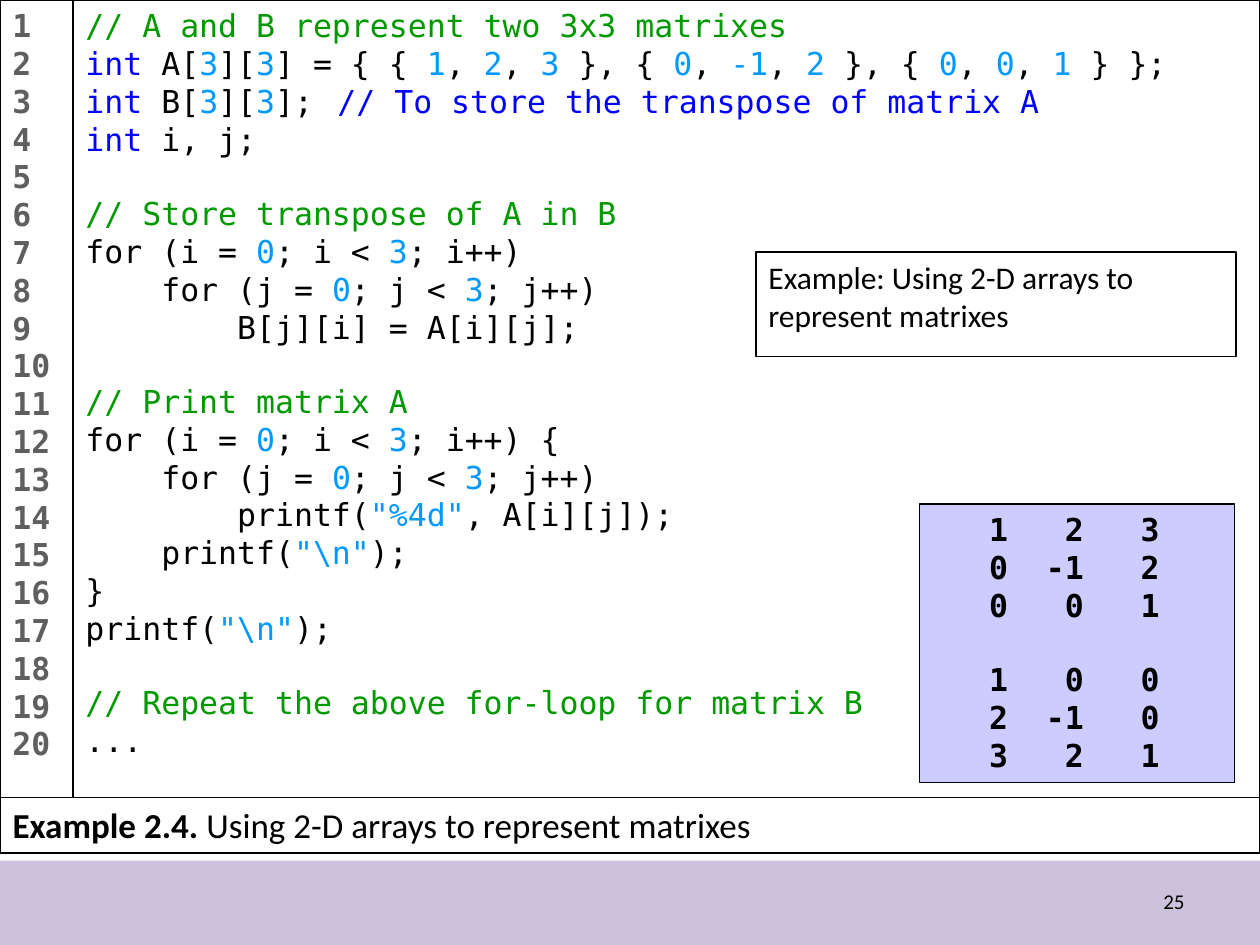
"""Build the slide that shows matrix transposition with 2-D arrays in C."""
from pptx import Presentation
from pptx.dml.color import RGBColor
from pptx.enum.shapes import MSO_SHAPE
from pptx.enum.text import MSO_ANCHOR, MSO_AUTO_SIZE, PP_ALIGN
from pptx.util import Inches, Pt

BLACK = RGBColor(0x00, 0x00, 0x00)
WHITE = RGBColor(0xFF, 0xFF, 0xFF)
GREEN = RGBColor(0x00, 0x99, 0x00)
BLUE = RGBColor(0x00, 0x00, 0xFF)
SKY = RGBColor(0x00, 0x99, 0xFF)
GRAY = RGBColor(0x5F, 0x5F, 0x5F)
LILAC = RGBColor(0xCC, 0xCC, 0xFF)
BAND = RGBColor(0xCC, 0xC1, 0xDA)
MONO = "DejaVu Sans Mono"
SANS = "Calibri"
LINE_HEIGHT = Pt(21)


def add_box(slide, left, top, width, height, fill=None, outlined=True):
    shape = slide.shapes.add_shape(
        MSO_SHAPE.RECTANGLE, Inches(left), Inches(top), Inches(width), Inches(height)
    )
    shape.shadow.inherit = False
    if fill is None:
        shape.fill.background()
    else:
        shape.fill.solid()
        shape.fill.fore_color.rgb = fill
    if outlined:
        shape.line.color.rgb = BLACK
        shape.line.width = Pt(0.75)
    else:
        shape.line.fill.background()
    shape.text_frame.word_wrap = True
    shape.text_frame.vertical_anchor = MSO_ANCHOR.TOP
    return shape


def write_lines(text_frame, lines, font=MONO, size=18, bold=False, align=PP_ALIGN.LEFT):
    paragraph = text_frame.paragraphs[0]
    gap = 0
    for index, line in enumerate(lines):
        if not line:
            gap = LINE_HEIGHT
            continue
        if index:
            paragraph = text_frame.add_paragraph()
        paragraph.alignment = align
        paragraph.space_before = gap
        gap = 0
        for text, color in line:
            run = paragraph.add_run()
            run.text = text
            run.font.name = font
            run.font.size = Pt(size)
            run.font.bold = bold
            run.font.color.rgb = color


presentation = Presentation()
presentation.slide_width = Inches(10)
presentation.slide_height = Inches(7.5)
slide = presentation.slides.add_slide(presentation.slide_layouts[5])

add_box(slide, 0, 6.83, 10, 0.67, BAND, outlined=False)

number_box = slide.shapes.add_textbox(Inches(7.17), Inches(6.95), Inches(2.33), Inches(0.4))
number_box.text_frame.word_wrap = True
number_box.text_frame.vertical_anchor = MSO_ANCHOR.MIDDLE
write_lines(number_box.text_frame, [[("25", BLACK)]], SANS, 12, align=PP_ALIGN.RIGHT)

three = ("3", SKY)
dimensions = [three, ("][", BLACK), three]
outer_loop = [("for (i = ", BLACK), ("0", SKY), ("; i < ", BLACK), three]
inner_loop = [("    for (j = ", BLACK), ("0", SKY), ("; j < ", BLACK), three, ("; j++)", BLACK)]
new_line = [("printf(", BLACK), ('"\\n"', SKY), (");", BLACK)]

matrix_values = [("int", BLUE), (" A[", BLACK), *dimensions, ("] = { { ", BLACK)]
for row_index, row in enumerate([("1", "2", "3"), ("0", "-1", "2"), ("0", "0", "1")]):
    if row_index:
        matrix_values.append((" }, { ", BLACK))
    for column_index, value in enumerate(row):
        if column_index:
            matrix_values.append((", ", BLACK))
        matrix_values.append((value, SKY))
matrix_values.append((" } };", BLACK))

code_lines = [
    [("// A and B represent two 3x3 matrixes", GREEN)],
    matrix_values,
    [("int", BLUE), (" B[", BLACK), *dimensions, ("];\t", BLACK),
     ("// To store the transpose of matrix A", BLUE)],
    [("int ", BLUE), ("i, j;", BLACK)],
    [],
    [("// Store transpose of A in B", GREEN)],
    [*outer_loop, ("; i++)", BLACK)],
    inner_loop,
    [("        B[j][i] = A[i][j];", BLACK)],
    [],
    [("// Print matrix A", GREEN)],
    [*outer_loop, ("; i++) {", BLACK)],
    inner_loop,
    [("        printf(", BLACK), ('"%4d"', SKY), (", A[i][j]);", BLACK)],
    [("    ", BLACK), *new_line],
    [("}", BLACK)],
    new_line,
    [],
    [("// Repeat the above for-loop for matrix B", GREEN)],
    [("...", BLACK)],
]
code_box = add_box(slide, 0.58, 0, 9.42, 6.33, WHITE)
write_lines(code_box.text_frame, code_lines)

line_number_box = add_box(slide, 0, 0, 0.58, 6.33, WHITE)
line_number_box.text_frame.margin_right = 0
line_numbers = [[(str(number), GRAY)] for number in range(1, len(code_lines) + 1)]
write_lines(line_number_box.text_frame, line_numbers, bold=True)

matrix_a = [(1, 2, 3), (0, -1, 2), (0, 0, 1)]
matrix_b = zip(*matrix_a)
output_lines = []
for row in [*matrix_a, (), *matrix_b]:
    text = "".join(f"{value:4d}" for value in row)
    output_lines.append([(text, BLACK)] if text else [])
output_box = add_box(slide, 7.3, 4, 2.5, 2.21, LILAC)
write_lines(output_box.text_frame, output_lines, bold=True)

note_box = add_box(slide, 6, 2, 3.81, 0.83)
note = [[("Example: Using 2-D arrays to represent matrixes", BLACK)]]
write_lines(note_box.text_frame, note, SANS)

title = slide.shapes.title
title.left, title.top = Inches(0), Inches(6.33)
title.width, title.height = Inches(10), Inches(0.44)
title.line.color.rgb = BLACK
title.line.width = Pt(0.75)
title.text_frame.word_wrap = True
title.text_frame.auto_size = MSO_AUTO_SIZE.NONE
title.text_frame.vertical_anchor = MSO_ANCHOR.TOP
caption = [("Example 2.4. ", BLACK), ("Using 2-D arrays to represent matrixes", BLACK)]
write_lines(title.text_frame, [caption], SANS, 20)
title.text_frame.paragraphs[0].runs[0].font.bold = True

presentation.save("out.pptx")
